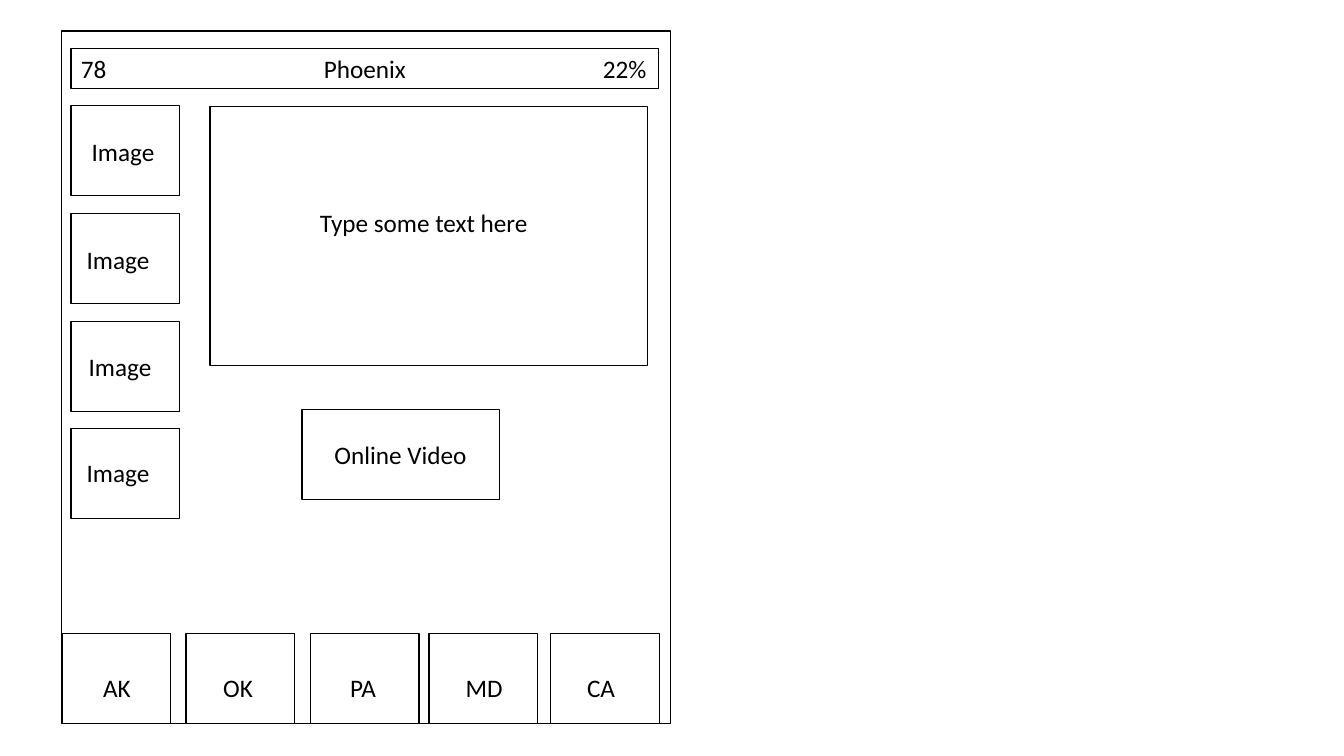
from pptx import Presentation
from pptx.dml.color import RGBColor
from pptx.enum.shapes import MSO_SHAPE as Shape
from pptx.enum.text import MSO_ANCHOR as Anchor, MSO_AUTO_SIZE as Fit, PP_ALIGN as Align
from pptx.util import Emu, Pt

BLACK = RGBColor(0, 0, 0)
FONT, SIZE = "Calibri", Pt(18)
SCALE = 914400 / 100.8  # EMU per pixel

# Content: places are left, top, width, height in pixels
FRAME = (62, 31, 609, 693)
BAR = (71, 48, 588, 41)
PANELS = [(210, 107, 438, 259), (302, 410, 198, 90)]
LABELS = [
    ("78", (71, 48, 74, 41), Align.LEFT),
    ("22%", (593, 48, 67, 41), Align.LEFT),
    ("Type some text here", (310, 202, 254, 41), Align.LEFT),
    ("Online Video", (274, 434, 253, 41), Align.CENTER),
]
IMAGES = [(71, 131), (66, 239), (68, 346), (66, 452)]  # label left, top
STATES = [  # name, tile left, label left
    ("AK", 62, 85), ("OK", 186, 206), ("PA", 310, 331),
    ("MD", 429, 452), ("CA", 551, 569),
]
TILE_W, TILE_H, LABEL_H = 109, 90, 41
IMAGE_TOP, IMAGE_STEP = 106, 107.6

deck = Presentation()
deck.slide_width, deck.slide_height = [Emu(round(n * SCALE)) for n in (1344, 756)]
slide = deck.slides.add_slide(deck.slide_layouts[6])


def place(box):
    return [Emu(round(n * SCALE)) for n in box]


def write(shape, text, align):
    frame = shape.text_frame
    frame.text = text
    frame.word_wrap = True
    frame.auto_size = Fit.SHAPE_TO_FIT_TEXT
    frame.vertical_anchor = Anchor.TOP
    line = frame.paragraphs[0]
    line.alignment = align
    font = line.runs[0].font
    font.name, font.size = FONT, SIZE
    font.color.rgb = BLACK


def outline(box):
    shape = slide.shapes.add_shape(Shape.RECTANGLE, *place(box))
    shape.shadow.inherit = False
    shape.fill.background()
    shape.line.color.rgb = BLACK
    shape.line.width = Pt(0.75)
    return shape


def label(text, box, align=Align.CENTER):
    write(slide.shapes.add_textbox(*place(box)), text, align)


# Page frame, title bar and main panels
outline(FRAME)
write(outline(BAR), "Phoenix", Align.CENTER)
for box in PANELS:
    outline(box)
for text, box, align in LABELS:
    label(text, box, align)

# Image column
for row, (left, top) in enumerate(IMAGES):
    outline((BAR[0], IMAGE_TOP + row * IMAGE_STEP, TILE_W, TILE_H))
    label("Image", (left, top, 104, LABEL_H))

# State tiles along the foot of the frame
foot = FRAME[1] + FRAME[3]
for name, left, start in STATES:
    outline((left, foot - TILE_H, TILE_W, TILE_H))
    label(name, (start, 667, 64, LABEL_H))

deck.save("out.pptx")
